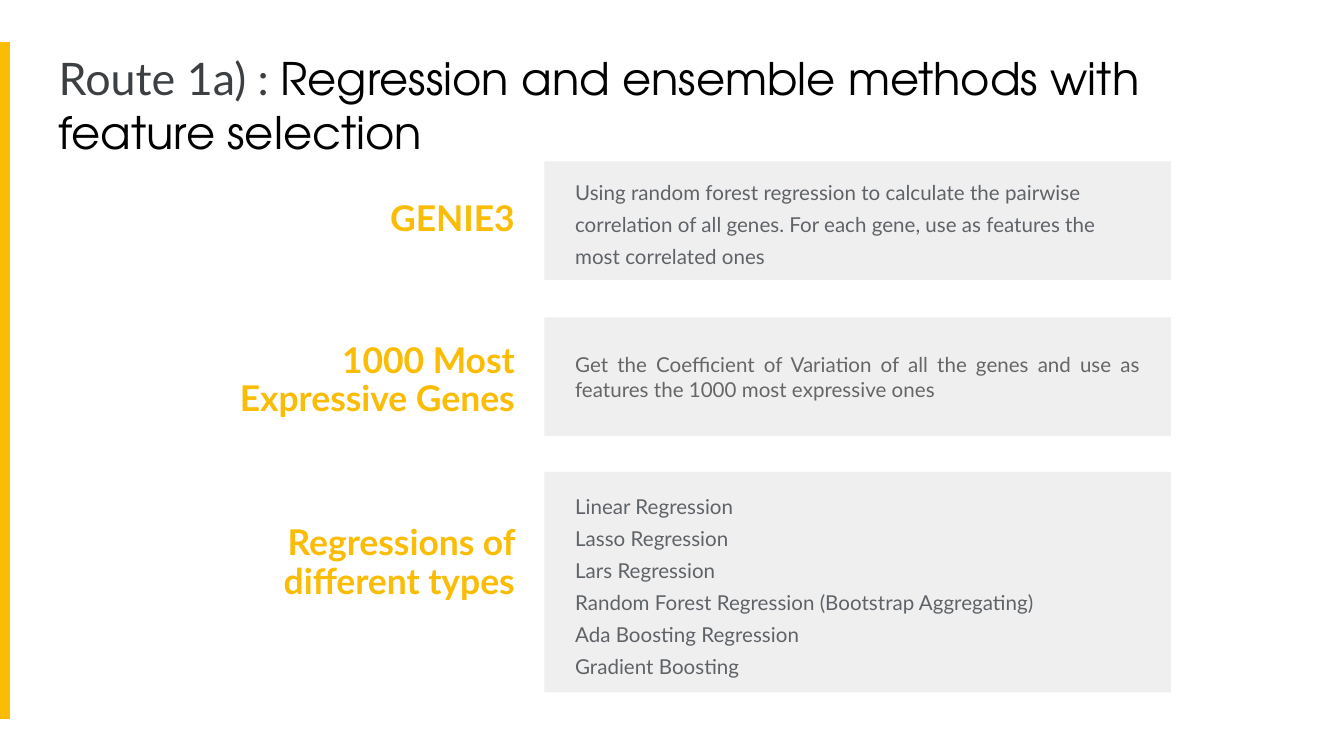
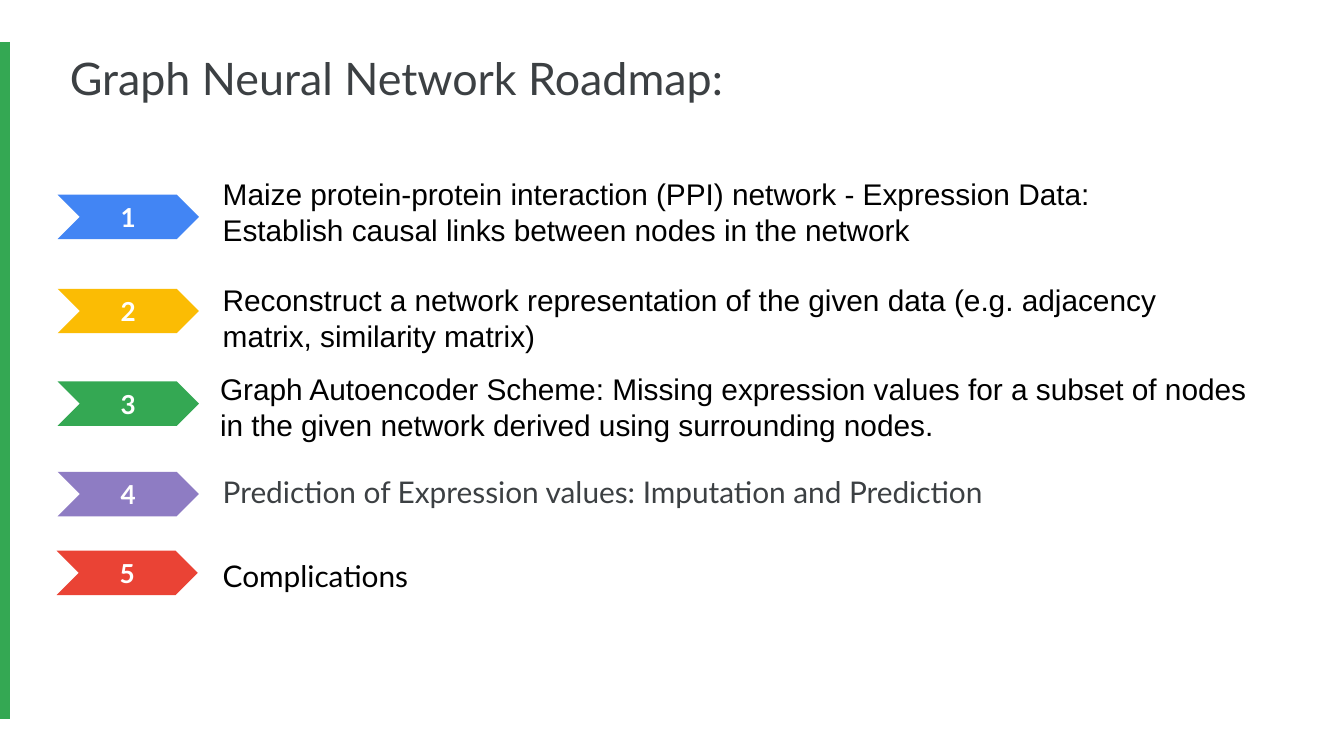
from pptx import Presentation
from pptx import util as u
from pptx.dml import color
from pptx.enum import shapes, text
from lxml import etree

GREY, BLACK, AMBER, GREEN = "3C4043", "000000", "FBBC04", "34A853"
LEFT, RIGHT, JUSTIFY = text.PP_ALIGN.LEFT, text.PP_ALIGN.RIGHT, text.PP_ALIGN.JUSTIFY
CENTER = text.PP_ALIGN.CENTER
TOP, MIDDLE = text.MSO_ANCHOR.TOP, text.MSO_ANCHOR.MIDDLE


def rgb(value):
    return color.RGBColor.from_string(value)


def write(sp, lines, size, ink, font="Lato", bold=False, align=LEFT,
          anchor=TOP, spacing=1.0, pad=0.25):
    """Fill a shape with paragraphs in one style and return its text frame."""
    tf = sp.text_frame
    tf.word_wrap = True
    tf.vertical_anchor = anchor
    tf.margin_left = tf.margin_right = u.Cm(0.25)
    tf.margin_top = tf.margin_bottom = u.Cm(pad)
    for i, line in enumerate(lines):
        p = tf.add_paragraph() if i else tf.paragraphs[0]
        p.alignment = align
        p.line_spacing = spacing
        p.font.size, p.font.name, p.font.bold = u.Pt(size), font, bold
        p.font.color.rgb = rgb(ink)
        p.add_run().text = line
    return tf


prs = Presentation()
prs.slide_width, prs.slide_height = u.Cm(25.4), u.Cm(14.29)

# Both slides: title and coloured side band
slides = []
for title, left, band in [("Route 1a) : ", 0.86, AMBER),
                          ("Graph Neural Network Roadmap:", 1.07, GREEN)]:
    s = prs.slides.add_slide(prs.slide_layouts[6])
    slides.append(s)
    sp = s.shapes.add_textbox(u.Cm(left), u.Cm(0.71), u.Cm(23.62), u.Cm(1.6))
    write(sp, [title], 24, GREY)
    line = s.shapes.add_connector(shapes.MSO_CONNECTOR.STRAIGHT,
                                  u.Cm(0.09), u.Cm(0.79), u.Cm(0.09), u.Cm(13.59))
    line.line.color.rgb = rgb(band)
    line.line.width = u.Pt(6)
    etree.SubElement(line._element.spPr,
                     "{http://schemas.openxmlformats.org/drawingml/2006/main}effectLst")

# Slide 1: second part of the title in its own font
s = slides[0]
r = s.shapes[0].text_frame.paragraphs[0].add_run()
r.text = "Regression and ensemble methods with feature selection"
r.font.name = "TeX Gyre Adventor"
r.font.color.rgb = rgb(BLACK)

# Slide 1: labels and cards (label, label left/top, card top/height, text height, ...)
methods = [
    ("GENIE3", 3.25, 3.38, 3.05, 2.24, 1.8, LEFT, 1.3, "5F6368",
     ["Using random forest regression to calculate the pairwise correlation of all "
      "genes. For each gene, use as features the most correlated ones"]),
    ("1000 Most Expressive Genes", 3.25, 6.43, 6.0, 2.24, 1.8, JUSTIFY, 1.0, "666666",
     ["Get the Coefficient of Variation of all the genes and use as features the "
      "1000 most expressive ones"]),
    ("Regressions of different types", 3.81, 9.88, 8.92, 4.17, 3.35, LEFT, 1.3, "5F6368",
     ["Linear Regression", "Lasso Regression", "Lars Regression",
      "Random Forest Regression (Bootstrap Aggregating)",
      "Ada Boosting Regression", "Gradient Boosting"]),
]
for label, left, label_top, top, height, text_height, align, spacing, ink, lines in methods:
    sp = s.shapes.add_textbox(u.Cm(left), u.Cm(label_top), u.Cm(9.98 - left), u.Cm(1.55))
    write(sp, [label], 19, "FBBC05", bold=True, align=RIGHT, anchor=MIDDLE,
          spacing=0.9, pad=0.13)
    card = s.shapes.add_group_shape()
    sp = card.shapes.add_shape(shapes.MSO_SHAPE.RECTANGLE,
                               u.Cm(10.29), u.Cm(top), u.Cm(11.84), u.Cm(height))
    sp.shadow.inherit = False
    sp.fill.solid()
    sp.fill.fore_color.rgb = rgb("EFEFEF")
    sp.line.fill.background()
    sp = card.shapes.add_textbox(u.Cm(10.62), u.Cm(top + (height - text_height) / 2),
                                 u.Cm(11.18), u.Cm(text_height))
    write(sp, lines, 11, ink, align=align, anchor=MIDDLE, spacing=spacing, pad=0.13)

# Slide 2: numbered steps (chevron left/top and fill, text box, font, colour, wording)
s = slides[1]
steps = [
    (1.09, 3.68, "4285F4", (3.96, 3.07, 19.15, 1.88), "Arial", BLACK,
     "Maize protein-protein interaction (PPI) network - Expression Data: "
     "Establish causal links between nodes in the network"),
    (1.09, 5.46, AMBER, (3.96, 5.08, 19.15, 2.57), "Arial", BLACK,
     "Reconstruct a network representation of the given data "
     "(e.g. adjacency matrix, similarity matrix)"),
    (1.09, 7.21, GREEN, (3.91, 6.76, 20.12, 3.25), "Arial", BLACK,
     "Graph Autoencoder Scheme: Missing expression values for a subset of nodes "
     "in the given network derived using surrounding nodes."),
    (1.09, 8.92, "8E7CC3", (3.96, 8.71, 17.88, 1.19), "Lato", GREY,
     "Prediction of Expression values: Imputation and Prediction"),
    (1.07, 10.41, "EA4335", (3.96, 10.29, 20.37, 1.88), "Lato", BLACK,
     "Complications"),
]
for number, (left, top, fill, box, font, ink, wording) in enumerate(steps, 1):
    sp = s.shapes.add_shape(shapes.MSO_SHAPE.CHEVRON,
                            u.Cm(left), u.Cm(top), u.Cm(2.67), u.Cm(0.84))
    sp.shadow.inherit = False
    sp.fill.solid()
    sp.fill.fore_color.rgb = rgb(fill)
    sp.line.fill.background()
    write(sp, [str(number)], 14, "FFFFFF", bold=True, align=CENTER, anchor=MIDDLE)
    sp = s.shapes.add_textbox(*map(u.Cm, box))
    write(sp, [wording], 16, ink, font=font)

prs.save("out.pptx")
